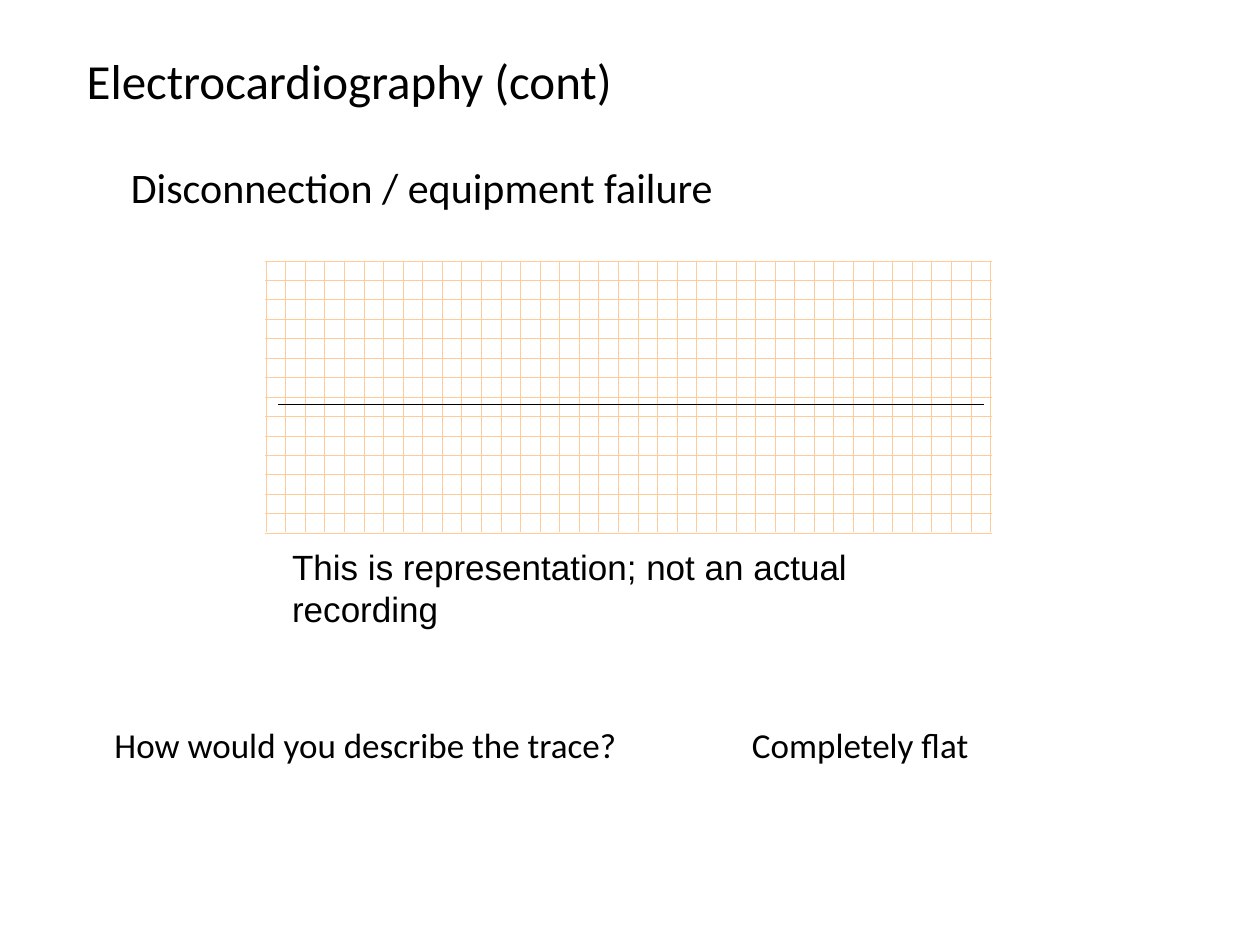
from dataclasses import dataclass

from lxml.etree import SubElement
from pptx import Presentation
from pptx.dml.color import RGBColor
from pptx.enum.shapes import MSO_CONNECTOR
from pptx.enum.text import MSO_AUTO_SIZE
from pptx.oxml.ns import qn
from pptx.util import Inches, Pt


@dataclass(frozen=True)
class Theme:
    """Colours, fonts, type sizes and line widths of the slide."""
    ink: RGBColor = RGBColor(0x00, 0x00, 0x00)
    mesh: RGBColor = RGBColor(0xFF, 0xCC, 0x99)
    body: str = "Calibri"
    note: str = "Arial"
    title: int = 28
    head: int = 24
    text: int = 20
    thin: float = 0.25
    bold: float = 1


THEME = Theme()
WIDTH, HEIGHT = Inches(10), Inches(7.5)
COLS, ROWS = 100, 75


def col(count):
    """Turn grid columns into a length."""
    return round(WIDTH * count / COLS)


def row(count):
    """Turn grid rows into a length."""
    return round(HEIGHT * count / ROWS)


def spread(first, last, count):
    """Give evenly spaced values from first to last."""
    return [first + (last - first) * i / (count - 1) for i in range(count)]


def add_line(shapes, start, end, color, width):
    """Draw a straight line without a shadow between two grid points."""
    line = shapes.add_connector(
        MSO_CONNECTOR.STRAIGHT,
        col(start[0]), row(start[1]), col(end[0]), row(end[1]))
    line.line.color.rgb = color
    line.line.width = Pt(width)
    SubElement(line._element.spPr, qn("a:effectLst"))


def add_mesh(shapes):
    """Draw the ruled recording paper as one group."""
    group = shapes.add_group_shape().shapes
    style = THEME.mesh, THEME.thin
    for x in spread(21.1, 78.6, 38):
        add_line(group, (x, 20.8), (x, 42.2), *style)
    for y in spread(20.7, 42.3, 15):
        add_line(group, (21, y), (78.7, y), *style)


def add_text(shapes, text, box, size, font=THEME.body, wrap=True):
    """Place one line of text in a box given in columns and rows."""
    left, top, width, height = box
    frame = shapes.add_textbox(
        col(left), row(top), col(width), row(height)).text_frame
    frame.word_wrap = wrap
    frame.auto_size = MSO_AUTO_SIZE.SHAPE_TO_FIT_TEXT
    run = frame.paragraphs[0].add_run()
    run.text = text
    for name, value in {"name": font, "size": Pt(size)}.items():
        setattr(run.font, name, value)
    run.font.color.rgb = THEME.ink


def main():
    """Build the slide and save it."""
    deck = Presentation()
    deck.slide_width, deck.slide_height = WIDTH, HEIGHT
    shapes = deck.slides.add_slide(deck.slide_layouts[6]).shapes
    add_mesh(shapes)
    add_text(shapes, "This is representation; not an actual recording",
             (22.2, 42.8, 55.6, 4.3), THEME.text, THEME.note)
    add_text(shapes, "Disconnection / equipment failure",
             (9.4, 12.3, 51.9, 5), THEME.head)
    add_text(shapes, "How would you describe the trace?",
             (8.1, 56.9, 46.8, 4.3), THEME.text)
    add_text(shapes, "Completely flat",
             (58.7, 56.9, 22.7, 4.3), THEME.text)
    add_text(shapes, "Electrocardiography (cont)",
             (5.9, 3.5, 47.7, 5.7), THEME.title, wrap=False)
    add_line(shapes, (22.1, 32.1), (78.1, 32.1), THEME.ink, THEME.bold)
    deck.save("out.pptx")


if __name__ == "__main__":
    main()
